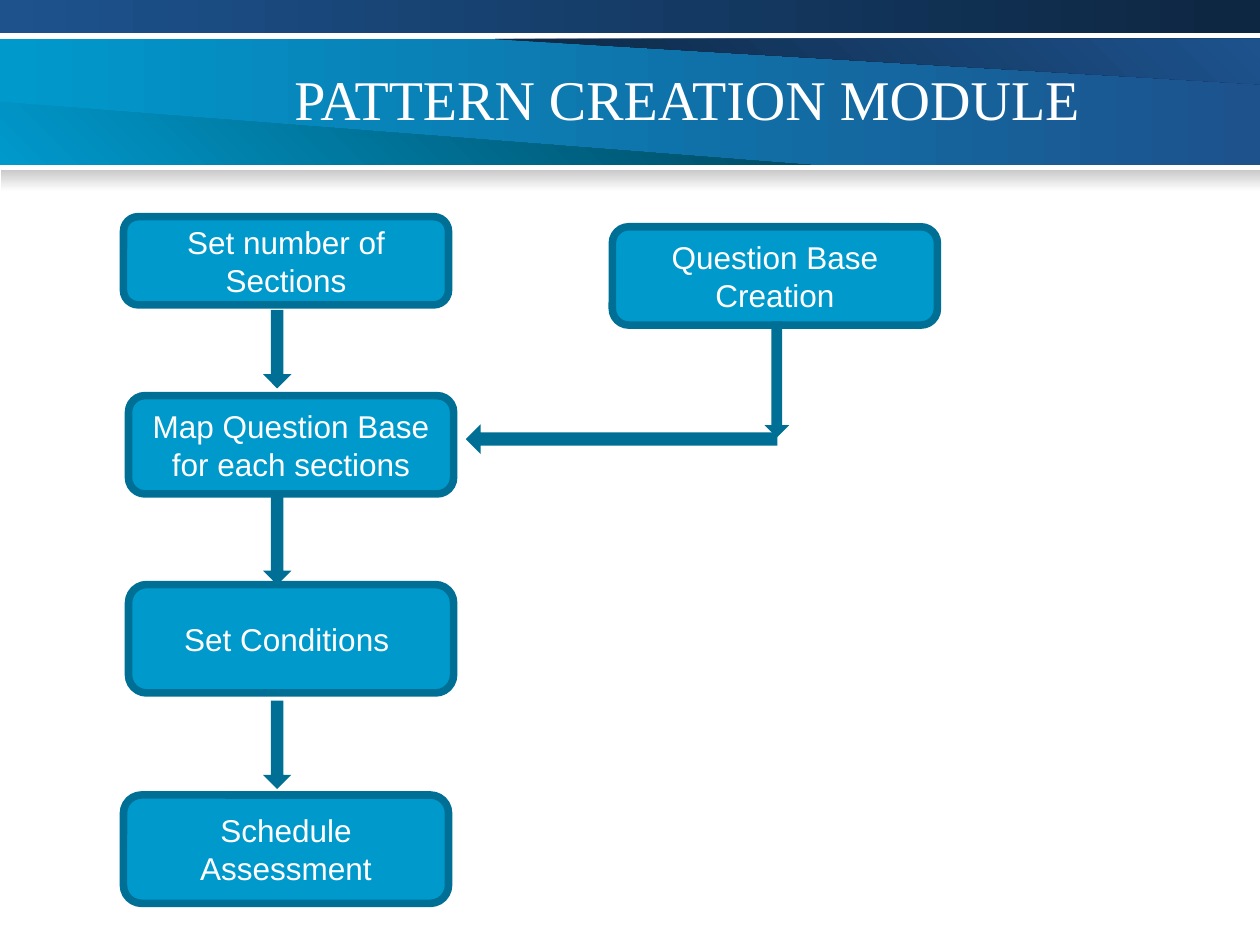
import pptx
import pptx.util
import pptx.dml.color
import pptx.enum.shapes
import pptx.enum.text
import lxml.etree
from dataclasses import dataclass

Inches = pptx.util.Inches
SHAPE = pptx.enum.shapes.MSO_SHAPE


@dataclass(frozen=True)
class Theme:
    cyan: str = "0099CC"
    teal: str = "006F95"
    deep_teal: str = "00475E"
    blue: str = "1D528D"
    navy: str = "0D2641"
    grey: str = "CACACA"
    white: str = "FFFFFF"
    title_font: str = "Times New Roman"
    body_font: str = "Arial"
    title_size: int = 32
    body_size: int = 18
    outline: float = 4.34


theme = Theme()


def rgb(value):
    return pptx.dml.color.RGBColor.from_string(value)


def set_attrs(obj, values):
    for name, value in values.items():
        setattr(obj, name, value)


def write(sp, text, font, size):
    tf = sp.text_frame
    set_attrs(tf, {
        "word_wrap": True,
        "vertical_anchor": pptx.enum.text.MSO_ANCHOR.MIDDLE,
        "margin_left": Inches(0.1), "margin_right": Inches(0.1),
        "margin_top": Inches(0.05), "margin_bottom": Inches(0.05),
    })
    p = tf.paragraphs[0]
    p.alignment = pptx.enum.text.PP_ALIGN.CENTER
    r = p.add_run()
    r.text = text
    set_attrs(r.font, {"name": font, "size": pptx.util.Pt(size)})
    r.font.color.rgb = rgb(theme.white)


def blend(sp, first, last, angle):
    sp.shadow.inherit = False
    sp.line.fill.background()
    sp.fill.gradient()
    sp.fill.gradient_angle = angle
    for stop, color in zip(sp.fill.gradient_stops, (first, last)):
        stop.color.rgb = rgb(color)


def add_preset(s, kind, box):
    return s.shapes.add_shape(kind, *(Inches(v) for v in box))


def add_wedge(s, left, top, points):
    corners = [(Inches(left + x), Inches(top + y)) for x, y in points]
    builder = s.shapes.build_freeform(*corners[0], scale=1.0)
    builder.add_line_segments(corners[1:], close=True)
    return builder.convert_to_shape()


def add_header(s, left, top, width, title):
    band_top, band_height = top + 0.31, 1
    band = add_preset(s, SHAPE.RECTANGLE, (left, band_top, width, band_height))
    blend(band, theme.cyan, theme.blue, 0)
    upper = add_wedge(s, left, band_top,
                      [(3.93, 0), (width, 0), (width, 0.36)])
    blend(upper, theme.navy, theme.blue, 45)
    lower = add_wedge(s, left, band_top,
                      [(0, 0.5), (6.43, band_height), (0, band_height)])
    blend(lower, theme.cyan, theme.deep_teal, 45)
    strip = add_preset(s, SHAPE.RECTANGLE, (left, top, width, 0.26))
    blend(strip, theme.blue, theme.navy, 0)
    shade = add_preset(s, SHAPE.RECTANGLE,
                       (left + 0.01, top + 1.35, width - 0.01, 0.17))
    blend(shade, theme.grey, theme.white, 270)
    box = (left + 1.83, top + 0.3, 7.25, 0.95)
    sp = s.shapes.add_textbox(*(Inches(v) for v in box))
    write(sp, title, theme.title_font, theme.title_size)


def add_flow_shape(s, kind, box, adjustments):
    sp = add_preset(s, kind, box)
    sp.shadow.inherit = False
    sp.fill.solid()
    sp.fill.fore_color.rgb = rgb(theme.cyan)
    sp.line.color.rgb = rgb(theme.teal)
    sp.line.width = pptx.util.Pt(theme.outline)
    ln = sp.line.fill._xPr
    miter = lxml.etree.SubElement(ln, pptx.oxml.ns.qn("a:miter"))
    miter.set("lim", "800000")
    for i, value in enumerate(adjustments):
        sp.adjustments[i] = value
    return sp


def add_flow(s, left, top):
    steps = [
        ("Set number of Sections", 0, 0, 0.7),
        ("Map Question Base for each sections", 0.04, 1.42, 0.78),
        ("Set Conditions ", 0.04, 2.92, 0.86),
        ("Schedule Assessment", 0, 4.59, 0.86),
        ("Question Base Creation", 3.88, 0.08, 0.78),
    ]
    arrows = [
        (SHAPE.DOWN_ARROW, 1.18, 0.77, 0.08, 0.55),
        (SHAPE.DOWN_ARROW, 1.18, 2.25, 0.08, 0.63),
        (SHAPE.DOWN_ARROW, 1.18, 3.87, 0.08, 0.63),
        (SHAPE.DOWN_ARROW, 5.16, 0.86, 0.05, 0.85),
        (SHAPE.LEFT_ARROW, 2.76, 1.72, 2.4, 0.09),
    ]
    for text, x, y, height in steps:
        box = (left + x, top + y, 2.58, height)
        sp = add_flow_shape(s, SHAPE.ROUNDED_RECTANGLE, box, [0.167])
        write(sp, text, theme.body_font, theme.body_size)
    for kind, x, y, width, height in arrows:
        box = (left + x, top + y, width, height)
        add_flow_shape(s, kind, box, [0.5, 0.5])


prs = pptx.Presentation()
set_attrs(prs, {"slide_width": Inches(10), "slide_height": Inches(7.5)})
s = prs.slides.add_slide(prs.slide_layouts[6])
add_header(s, 0, 0, 10, "PATTERN CREATION MODULE")
add_flow(s, 0.98, 1.72)
prs.save("out.pptx")
